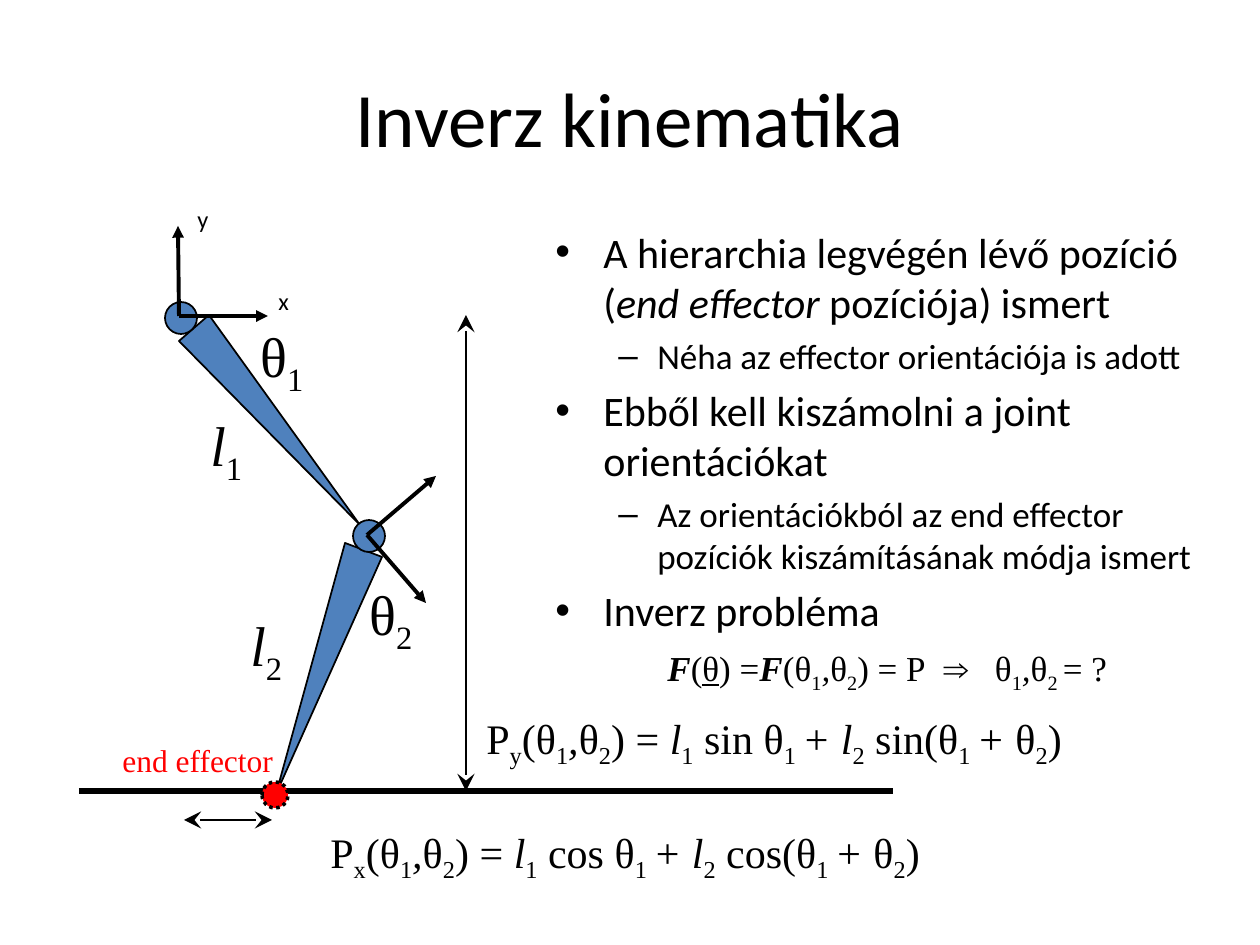
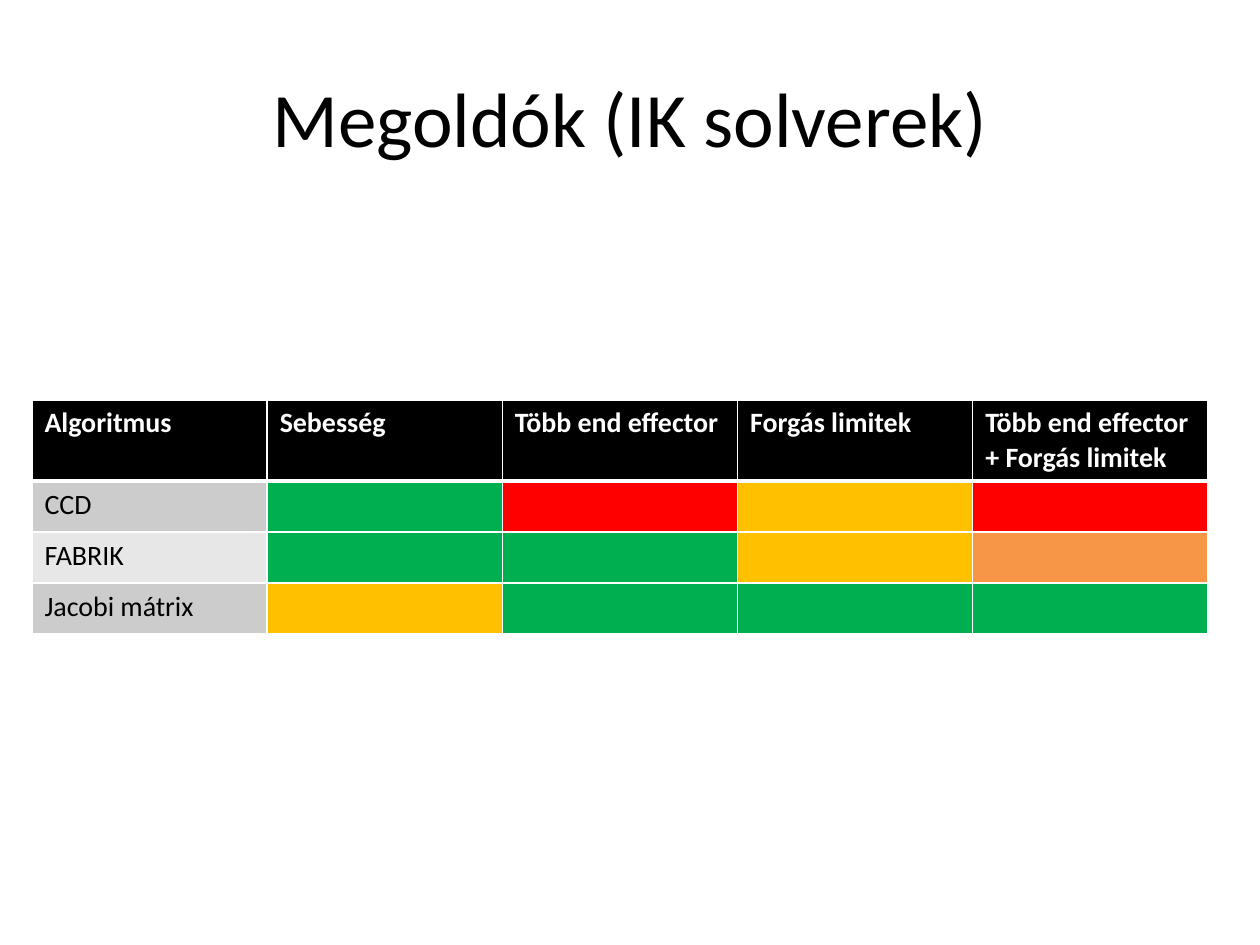
from dataclasses import dataclass

from lxml.etree import SubElement
from pptx import Presentation
from pptx.dml.color import RGBColor
from pptx.enum.dml import MSO_LINE
from pptx.enum.shapes import MSO_CONNECTOR, MSO_SHAPE
from pptx.enum.text import MSO_ANCHOR, MSO_AUTO_SIZE, PP_ALIGN
from pptx.oxml.ns import qn
from pptx.util import Pt

SCALE = 914400 / 126


@dataclass(frozen=True)
class Theme:
    sans: str = "Calibri"
    serif: str = "Times New Roman"
    ink: str = "000000"
    paper: str = "FFFFFF"
    bone: str = "4F81BD"
    good: str = "00B050"
    fair: str = "FFC000"
    weak: str = "F79646"
    bad: str = "FF0000"
    bands: tuple = ("CCCCCC", "E7E7E7")
    title: int = 44
    symbol: int = 32
    body: int = 24
    detail: int = 20
    label: int = 18
    cell: int = 16


THEME = Theme()


def px(length):
    return round(length * SCALE)


def box(*lengths):
    return [px(length) for length in lengths]


def color(value):
    return RGBColor.from_string(value)


def format_run(run, size, font, ink=THEME.ink, style=""):
    run.font.size = Pt(size)
    run.font.name = font
    run.font.color.rgb = color(ink)
    run.font.bold = "b" in style
    run.font.italic = "i" in style
    run.font.underline = "u" in style
    if "s" in style:
        run.font._element.set("baseline", "-25000")
    if "w" in style:
        run.font._element.set("spc", "500")


def write_runs(paragraph, pieces, size, font, ink=THEME.ink):
    for text, style in pieces:
        run = paragraph.add_run()
        run.text = text
        format_run(run, size, font, ink, style)


def add_title_slide(presentation, text):
    slide = presentation.slides.add_slide(presentation.slide_layouts[5])
    title = slide.shapes.title
    title.left, title.top, title.width, title.height = box(63, 38, 1134, 157)
    title.text_frame.text = text
    title.text_frame.vertical_anchor = MSO_ANCHOR.MIDDLE
    paragraph = title.text_frame.paragraphs[0]
    paragraph.alignment = PP_ALIGN.CENTER
    format_run(paragraph.runs[0], THEME.title, THEME.sans)
    return slide


def add_text(slide, place, pieces, size, font=THEME.serif, ink=THEME.ink, wrap=True):
    frame = slide.shapes.add_textbox(*box(*place)).text_frame
    frame.word_wrap = wrap
    frame.auto_size = MSO_AUTO_SIZE.SHAPE_TO_FIT_TEXT
    write_runs(frame.paragraphs[0], pieces, size, font, ink)


def style_shape(shape, fill, width=1):
    shape.shadow.inherit = False
    shape.fill.solid()
    shape.fill.fore_color.rgb = color(fill)
    shape.line.color.rgb = color(THEME.ink)
    shape.line.width = Pt(width)


def add_circle(slide, left, top, diameter, fill, width=1):
    circle = slide.shapes.add_shape(MSO_SHAPE.OVAL, *box(left, top, diameter, diameter))
    style_shape(circle, fill, width)
    return circle


def add_bone(slide, start, *corners):
    builder = slide.shapes.build_freeform(*start, scale=SCALE)
    builder.add_line_segments(corners, close=True)
    style_shape(builder.convert_to_shape(), THEME.bone)


def add_line(slide, start, end, width, head=None, tail=None, size="med"):
    line = slide.shapes.add_connector(MSO_CONNECTOR.STRAIGHT, *box(*start, *end))
    line.line.color.rgb = color(THEME.ink)
    line.line.width = Pt(width)
    outline = line.line._get_or_add_ln()
    for tag, kind in (("a:headEnd", head), ("a:tailEnd", tail)):
        if kind:
            SubElement(outline, qn(tag), type=kind, w=size, len=size)
    SubElement(line._element.spPr, qn("a:effectLst"))


def add_axes(slide, origin, *ends):
    for end in ends:
        add_line(slide, origin, end, 2.25, tail="triangle")


def add_measure(slide, start, end):
    add_line(slide, start, end, 1, "stealth", "stealth", "lg")


def add_bullets(slide, place, items):
    frame = slide.shapes.add_textbox(*box(*place)).text_frame
    frame.word_wrap = True
    levels = ((48, 48, "•", THEME.body), (102, 39, "–", THEME.detail))
    for index, (level, pieces) in enumerate(items):
        paragraph = frame.add_paragraph() if index else frame.paragraphs[0]
        margin, hanging, mark, size = levels[level]
        properties = paragraph._p.get_or_add_pPr()
        properties.set("lvl", str(level))
        properties.set("marL", str(px(margin)))
        properties.set("indent", str(-px(hanging)))
        spacing = SubElement(properties, qn("a:spcBef"))
        SubElement(spacing, qn("a:spcPct"), val="20000")
        SubElement(properties, qn("a:buFont"), typeface="Arial")
        SubElement(properties, qn("a:buChar"), char=mark)
        write_runs(paragraph, pieces, size, THEME.sans)


def position_formula(axis, function):
    return [
        ("P", ""), (axis, "s"), ("(θ", ""), ("1", "s"), (",", "i"), ("θ", ""),
        ("2", "s"), (") = ", ""), ("l", "i"), ("1", "s"), (f" {function} θ", ""),
        ("1 ", "s"), ("+ l", "i"), ("2", "s"), (f" {function}(θ", ""),
        ("1 ", "s"), ("+ ", "i"), ("θ", ""), ("2", "s"), (")", ""),
    ]


def add_borders(cell, bottom):
    properties = cell._tc.get_or_add_tcPr()
    for side, width in (("L", 1), ("R", 1), ("T", 1), ("B", bottom)):
        border = SubElement(properties, qn(f"a:ln{side}"), w=str(Pt(width)))
        fill = SubElement(border, qn("a:solidFill"))
        SubElement(fill, qn("a:srgbClr"), val=THEME.paper)


def fill_cell(cell, text, fill, header):
    add_borders(cell, 3 if header else 1)
    cell.fill.solid()
    cell.fill.fore_color.rgb = color(fill)
    cell.text_frame.text = text
    paragraph = cell.text_frame.paragraphs[0]
    paragraph.font.size = Pt(THEME.cell)
    ink, style = (THEME.paper, "b") if header else (THEME.ink, "")
    for run in paragraph.runs:
        format_run(run, THEME.cell, THEME.sans, ink, style)


def add_rating_table(slide, headings, ratings):
    heights = [80] + [51] * len(ratings)
    place = box(32, 400, 1176, sum(heights))
    table = slide.shapes.add_table(len(heights), len(headings), *place).table
    for column in table.columns:
        column.width = px(1176 / len(headings))
    for row, height in zip(table.rows, heights):
        row.height = px(height)
    for index, heading in enumerate(headings):
        fill_cell(table.cell(0, index), heading, THEME.ink, True)
    for row, (name, fills) in enumerate(ratings, 1):
        fill_cell(table.cell(row, 0), name, THEME.bands[(row - 1) % 2], False)
        for column, fill in enumerate(fills, 1):
            fill_cell(table.cell(row, column), "", fill, False)


def build_kinematics(presentation):
    slide = add_title_slide(presentation, "Inverz kinematika")
    add_bone(slide, (209, 315), (179, 341), (360, 525))
    add_circle(slide, 165, 302, 32, THEME.bone)
    add_bone(slide, (382, 557), (345, 543), (276, 794))
    add_circle(slide, 353, 520, 32, THEME.bone)
    add_axes(slide, (367, 535), (426, 603), (436, 476))
    add_axes(slide, (179, 316), (268, 316), (178, 226))
    symbols = (
        ("l", "1", "i", (198, 404, 59, 80)),
        ("θ", "2", "", (357, 573, 74, 80)),
        ("θ", "1", "", (248, 315, 74, 80)),
        ("l", "2", "i", (238, 604, 59, 80)),
    )
    for letter, number, style, place in symbols:
        pieces = [(letter, style), (number, "s")]
        add_text(slide, place, pieces, THEME.symbol, wrap=False)
    add_line(slide, (79, 791), (893, 791), 3)
    add_measure(slide, (466, 315), (466, 791))
    add_text(slide, (474, 706, 779, 63), position_formula("y", "sin"), THEME.body)
    add_measure(slide, (184, 820), (272, 820))
    add_text(slide, (318, 820, 858, 63), position_formula("x", "cos"), THEME.body)
    effector = add_circle(slide, 262, 782, 26, THEME.bad, 2)
    effector.line.dash_style = MSO_LINE.ROUND_DOT
    add_bullets(slide, (543, 220, 708, 624), [
        (0, [("A hierarchia legvégén lévő pozíció (", ""),
             ("end effector", "i"), (" pozíciója) ismert", "")]),
        (1, [("Néha az effector orientációja is adott", "")]),
        (0, [("Ebből kell kiszámolni a joint orientációkat", "")]),
        (1, [("Az orientációkból az end effector pozíciók "
              "kiszámításának módja ismert", "")]),
        (0, [("Inverz probléma", "")]),
    ])
    add_text(slide, (110, 735, 256, 50), [("end effector", "")], THEME.label, ink=THEME.bad)
    angles = [("1", "s"), (",", "i"), ("θ", "")]
    problem = [
        ("F", "bi"), ("(", ""), ("θ", "u"), (") =", ""), ("F", "bi"), ("(θ", ""),
        *angles, ("2", "s"), (") = P", ""), (" ⇒ ", "w"), ("θ", ""),
        *angles, ("2 ", "s"), ("= ?", ""),
    ]
    add_text(slide, (655, 640, 514, 55), problem, THEME.detail)
    for name, left, top in (("x", 266, 252), ("y", 185, 170)):
        add_text(slide, (left, top, 38, 63), [(name, "s")], THEME.body, THEME.sans, wrap=False)


def build_solvers(presentation):
    slide = add_title_slide(presentation, "Megoldók (IK solverek)")
    headings = ("Algoritmus", "Sebesség", "Több end effector", "Forgás limitek",
                "Több end effector + Forgás limitek")
    good, fair, weak, bad = THEME.good, THEME.fair, THEME.weak, THEME.bad
    add_rating_table(slide, headings, (
        ("CCD", (good, bad, fair, bad)),
        ("FABRIK", (good, good, fair, weak)),
        ("Jacobi mátrix", (fair, good, good, good)),
    ))


def main():
    presentation = Presentation()
    presentation.slide_width, presentation.slide_height = box(1260, 945)
    build_kinematics(presentation)
    build_solvers(presentation)
    presentation.save("out.pptx")


main()
